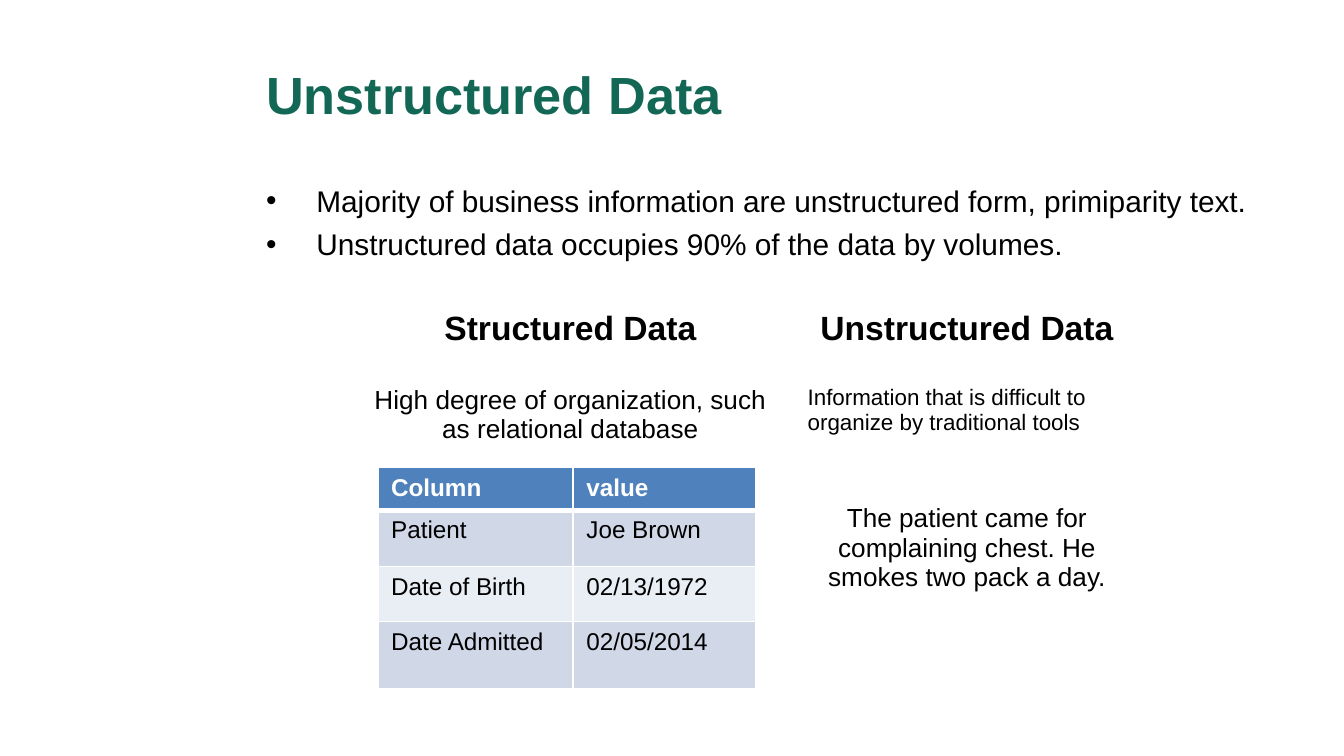
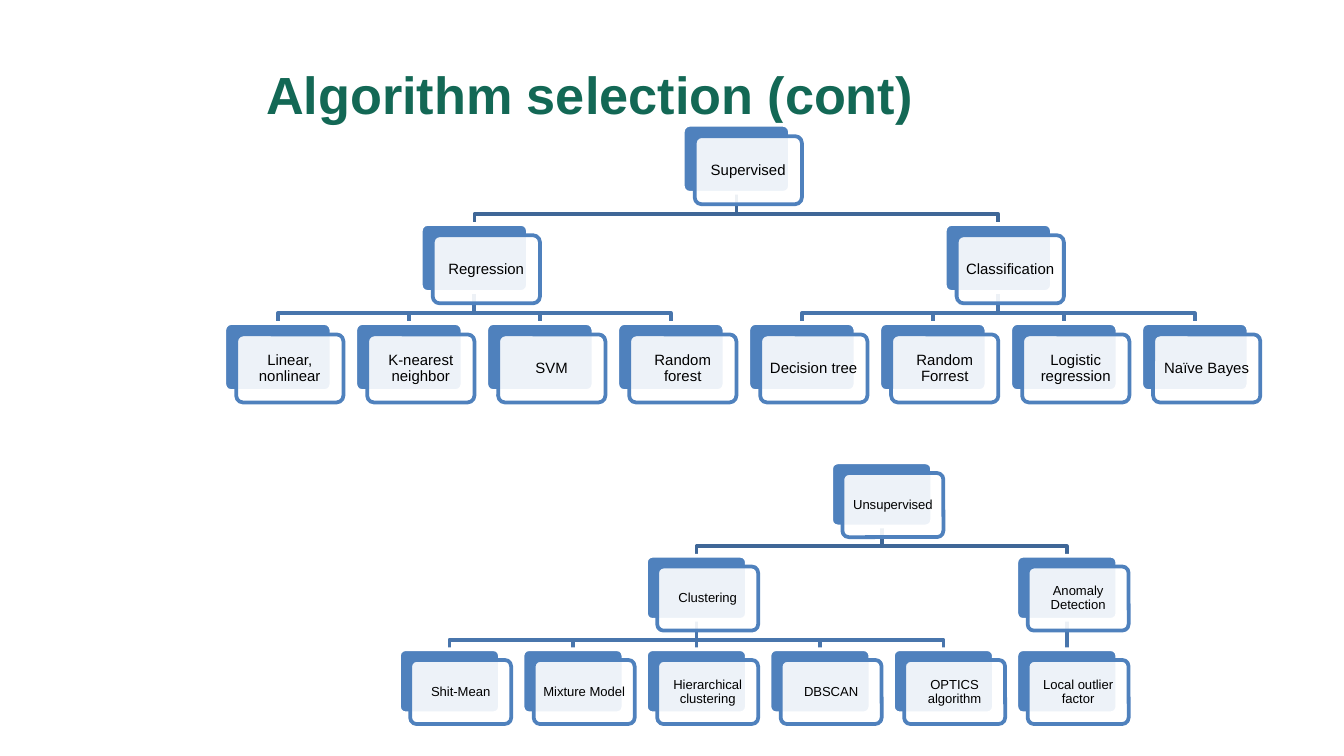
from lxml import etree
from pptx import Presentation
from pptx import util as u
from pptx.dml import color
from pptx.enum import shapes, text
from pptx.oxml import ns

FONT = "Arial"
BLACK, WHITE = "000000", "FFFFFF"
TITLE_GREEN = "136855"
BLUE = "4F81BD"
LINK_COLOURS = ["3F6797", "4875AC"]
BANDS = ["D0D8E8", "E9EDF4"]
CENTER = text.PP_ALIGN.CENTER

SUPERVISED = ("Supervised", [
    ("Regression", [("Linear, nonlinear", []), ("K-nearest neighbor", []),
                    ("SVM", []), ("Random forest", [])]),
    ("Classification", [("Decision tree", []), ("Random Forrest", []),
                        ("Logistic regression", []), ("Naïve Bayes", [])]),
])
UNSUPERVISED = ("Unsupervised", [
    ("Clustering", [("Shit-Mean", []), ("Mixture Model", []),
                    ("Hierarchical clustering", []), ("DBSCAN", []),
                    ("OPTICS algorithm", [])]),
    ("Anomaly Detection", [("Local outlier factor", [])]),
])


def rgb(value):
    return color.RGBColor.from_string(value)


def cm_box(box):
    return [u.Cm(length) for length in box]


def sub(parent, tag, **attributes):
    return etree.SubElement(parent, ns.qn(tag), attributes)


def write(para, words, size, colour=BLACK, bold=False, align=None):
    para.text = words
    para.alignment = align
    for span in para.runs:
        span.font.name = FONT
        span.font.size = u.Pt(size)
        span.font.bold = bold
        span.font.color.rgb = rgb(colour)


def add_text_frame(page, box):
    frame = page.shapes.add_textbox(*cm_box(box)).text_frame
    frame.word_wrap = True
    return frame


def add_page(deck, title):
    page = deck.slides.add_slide(deck.slide_layouts[6])
    frame = add_text_frame(page, (4.78, 0.58, 19.35, 2.39))
    frame.vertical_anchor = text.MSO_ANCHOR.MIDDLE
    write(frame.paragraphs[0], title, 28, TITLE_GREEN, bold=True)
    return page


def add_bullets(page, box, lines):
    frame = add_text_frame(page, box)
    indent = u.Cm(0.95)
    for index, line in enumerate(lines):
        para = frame.add_paragraph() if index else frame.paragraphs[0]
        write(para, line, 16)
        para.space_before = u.Pt(4)
        properties = para._p.get_or_add_pPr()
        properties.set("marL", str(indent))
        properties.set("indent", str(-indent))
        sub(properties, "a:buFont", typeface=FONT)
        sub(properties, "a:buChar", char="•")


def style_cell(cell, fill=None, bottom=1):
    """Draw white borders, with their own width at the bottom, and fill the cell."""
    properties = cell._tc.get_or_add_tcPr()
    for side in "LRTB":
        width = u.Pt(bottom if side == "B" else 1)
        line = sub(properties, f"a:ln{side}", w=str(width))
        sub(sub(line, "a:solidFill"), "a:srgbClr", val=WHITE)
    if fill:
        cell.fill.solid()
        cell.fill.fore_color.rgb = rgb(fill)
    else:
        cell.fill.background()


def add_grid(page, left, top, widths, heights):
    box = cm_box((left, top, sum(widths), sum(heights)))
    table = page.shapes.add_table(len(heights), len(widths), *box).table
    for column, width in zip(table.columns, widths):
        column.width = u.Cm(width)
    for row, height in zip(table.rows, heights):
        row.height = u.Cm(height)
    return table


def add_comparison(page, left, top):
    table = add_grid(page, left, top, [8.46, 6.53], [2.87, 4.5])
    columns = [
        ("Structured Data", "High degree of organization, such as relational database",
         14, CENTER),
        ("Unstructured Data", "Information that is difficult to organize by traditional tools",
         12, None),
    ]
    for index, (heading, meaning, size, align) in enumerate(columns):
        head = table.cell(0, index)
        style_cell(head, bottom=3)
        style_cell(table.cell(1, index))
        write(head.text_frame.paragraphs[0], heading, 18, bold=True, align=CENTER)
        para = head.text_frame.add_paragraph()
        write(para, meaning, size, align=align)
        para.space_before = u.Pt(20)
    example = table.cell(1, 1)
    example.margin_top = u.Cm(0.88)
    write(example.text_frame.paragraphs[0],
          "The patient came for complaining chest. He smokes two pack a day.",
          14, align=CENTER)


def add_patient_table(page, left, top):
    rows = [("Column", "value"), ("Patient", "Joe Brown"),
            ("Date of Birth", "02/13/1972"), ("Date Admitted", "02/05/2014")]
    table = add_grid(page, left, top, [3.69, 3.46], [0.77, 1.06, 1.04, 1.27])
    for row, values in enumerate(rows):
        header = row == 0
        for column, value in enumerate(values):
            cell = table.cell(row, column)
            style_cell(cell, BLUE if header else BANDS[(row - 1) % 2],
                       bottom=3 if header else 1)
            write(cell.text_frame.paragraphs[0], value, 13,
                  WHITE if header else BLACK, bold=header)


def place_nodes(node, level=0, first_leaf=0):
    """List (label, level, column, child columns), each parent centred on its children."""
    label, children = node
    if not children:
        return [(label, level, first_leaf, [])], 1
    below, columns, leaves = [], [], 0
    for child in children:
        nodes, count = place_nodes(child, level + 1, first_leaf + leaves)
        columns.append(nodes[0][2])
        below += nodes
        leaves += count
    column = (columns[0] + columns[-1]) / 2
    return [(label, level, column, columns)] + below, leaves


def add_link(group, start, end, colour):
    """Join two points, with an elbow unless one is right below the other."""
    (x1, y1), (x2, y2) = start, end
    if x1 == x2:
        link = group.shapes.add_connector(shapes.MSO_CONNECTOR.STRAIGHT,
                                          *cm_box((x1, y1, x2, y2)))
        sub(link._element.spPr, "a:effectLst")
    else:
        bend = y1 + 0.68 * (y2 - y1)
        builder = group.shapes.build_freeform(u.Cm(x1), u.Cm(y1))
        builder.add_line_segments(
            [cm_box(point) for point in [(x1, bend), (x2, bend), (x2, y2)]], close=False)
        link = builder.convert_to_shape()
        link.fill.background()
        link.shadow.inherit = False
    link.line.color.rgb = rgb(colour)
    link.line.width = u.Pt(2)


def add_card(group, box, fill, line):
    card = group.shapes.add_shape(shapes.MSO_SHAPE.ROUNDED_RECTANGLE, *cm_box(box))
    card.adjustments[0] = 0.1
    card.shadow.inherit = False
    card.fill.solid()
    card.fill.fore_color.rgb = rgb(fill)
    card.line.color.rgb = rgb(line)
    card.line.width = u.Pt(2)
    return card


def add_node(group, box, label, size):
    left, top, width, height = box
    add_card(group, box, BLUE, WHITE)
    front = add_card(group, (left + width / 9, top + width * 0.106, width, height),
                     WHITE, BLUE)
    shade = front._element.spPr.find(ns.qn("a:solidFill"))[0]
    sub(shade, "a:alpha", val="90000")
    frame = front.text_frame
    frame.word_wrap = True
    frame.vertical_anchor = text.MSO_ANCHOR.MIDDLE
    frame.margin_left = frame.margin_right = u.Cm(0.08)
    frame.margin_top = frame.margin_bottom = u.Cm(0.08)
    write(frame.paragraphs[0], label, size, align=CENTER)
    frame.paragraphs[0].line_spacing = 0.9


def add_tree(page, left, top, total_width, root, size):
    """Fit the tree to the width; all other measures follow from the card width."""
    nodes, leaves = place_nodes(root)
    width = total_width * 9 / (11 * leaves - 1)
    height = width * 0.635
    column_step, level_step = width * 11 / 9, width * 0.925
    group = page.shapes.add_group_shape()

    def corner(column, level):
        return left + column * column_step, top + level * level_step

    for _, level, column, child_columns in nodes:
        x, y = corner(column, level)
        for child_column in child_columns:
            child_x, child_y = corner(child_column, level + 1)
            add_link(group, (x + width / 2, y + height),
                     (child_x + width / 2, child_y), LINK_COLOURS[level])
    for label, level, column, _ in nodes:
        add_node(group, (*corner(column, level), width, height), label, size)


def main():
    deck = Presentation()
    deck.slide_width, deck.slide_height = u.Cm(25.4), u.Cm(14.29)

    page = add_page(deck, "Unstructured Data")
    add_bullets(page, (4.78, 3.33, 19.35, 9.42), [
        "Majority of business information are unstructured form, primiparity text.",
        "Unstructured data occupies 90% of the data by volumes.",
    ])
    add_comparison(page, 6.55, 5.74)
    add_patient_table(page, 7.14, 8.84)

    page = add_page(deck, "Algorithm selection (cont)")
    add_tree(page, 4.24, 2.36, 19.58, SUPERVISED, 8)
    add_tree(page, 7.54, 8.74, 13.79, UNSUPERVISED, 7)

    deck.save("out.pptx")


if __name__ == "__main__":
    main()
